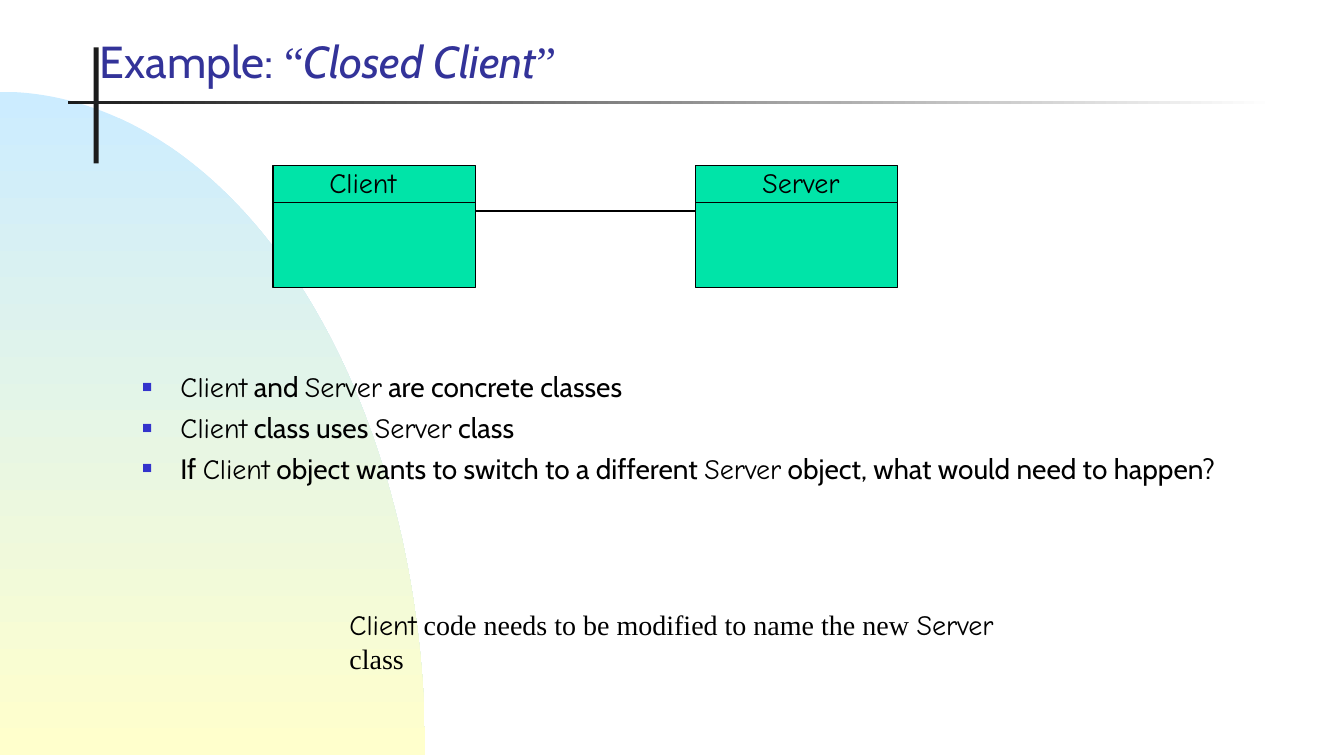
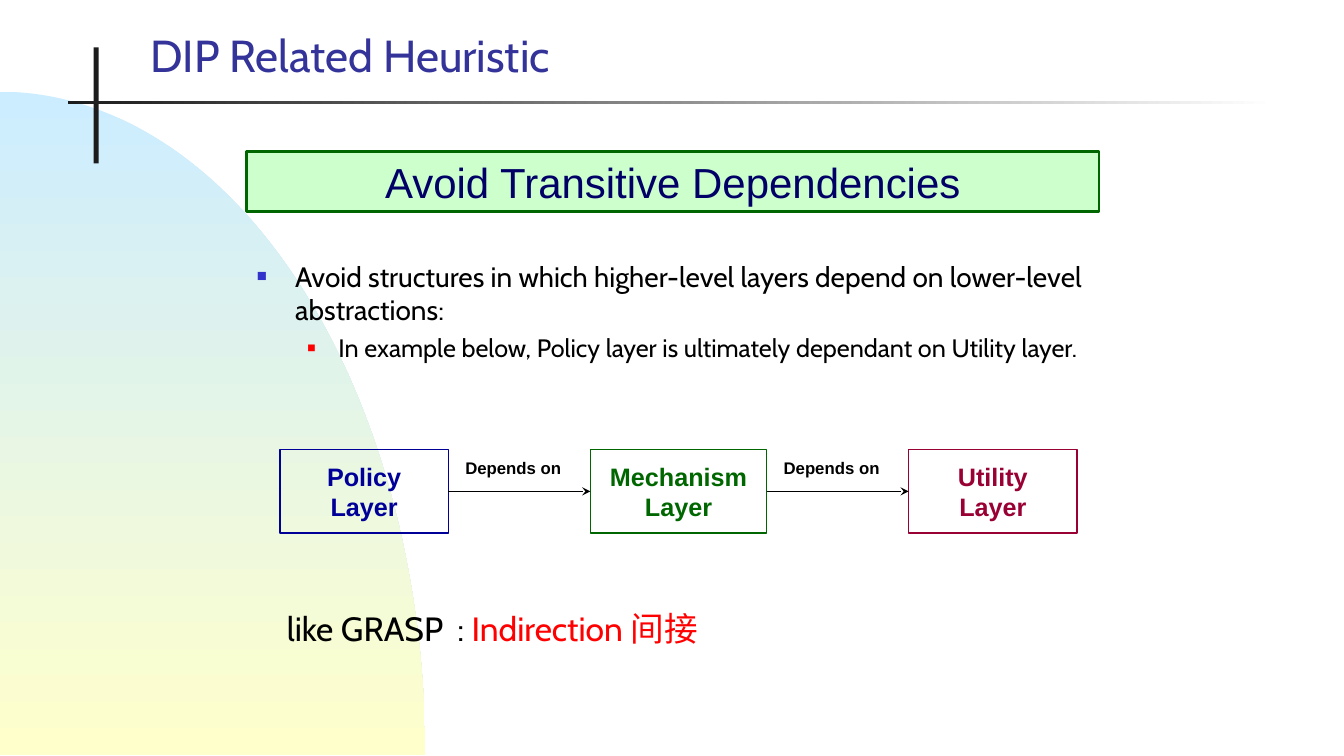
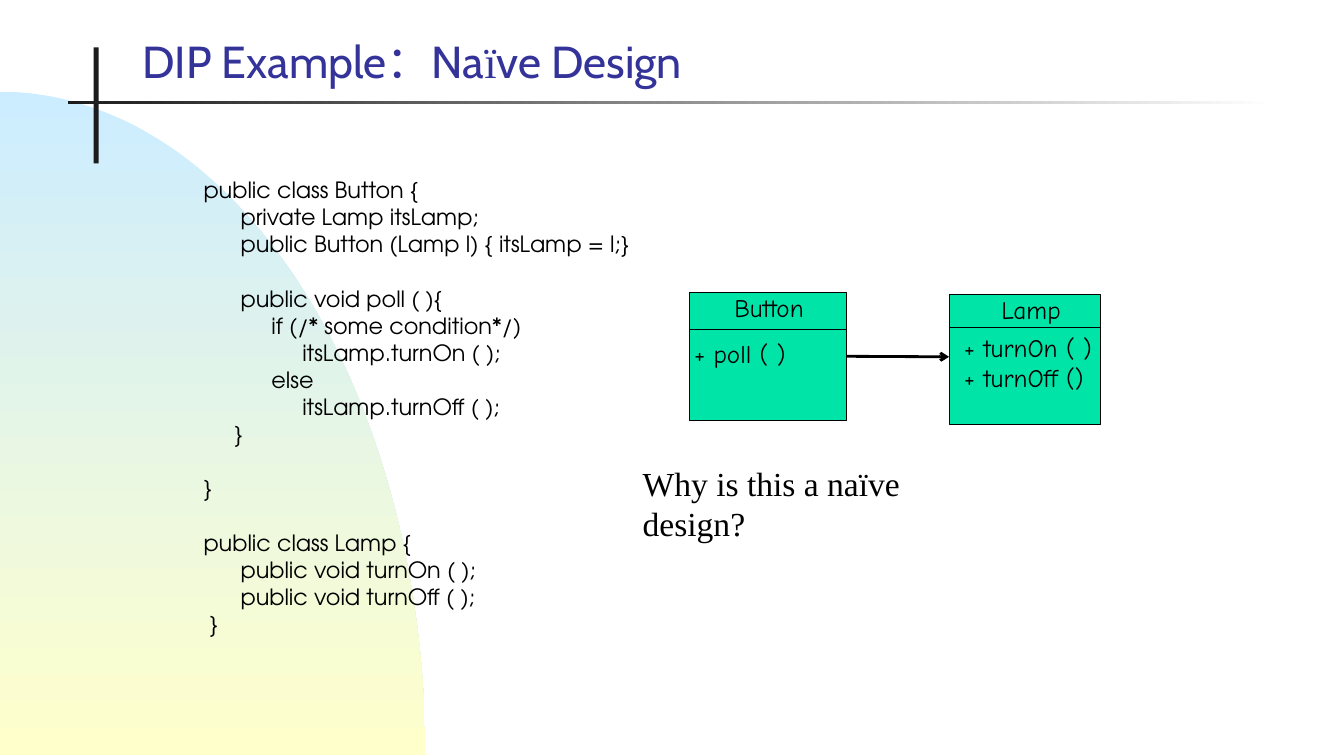
from math import cos, pi, sin

from lxml.etree import SubElement
from pptx import Presentation
from pptx.dml.color import RGBColor
from pptx.enum.shapes import MSO_CONNECTOR as Link, MSO_SHAPE as Preset
from pptx.enum.text import MSO_ANCHOR as Anchor, MSO_AUTO_SIZE as Fit, PP_ALIGN as Align
from pptx.oxml.ns import qn
from pptx.util import Inches, Pt

BLACK = RGBColor(0x00, 0x00, 0x00)
WHITE = RGBColor(0xFF, 0xFF, 0xFF)
CHARCOAL = RGBColor(0x1C, 0x1C, 0x1C)
SKY = RGBColor(0xCC, 0xEC, 0xFF)
CREAM = RGBColor(0xFF, 0xFF, 0xCC)
INDIGO = RGBColor(0x33, 0x33, 0x99)
BLUE = RGBColor(0x33, 0x33, 0xCC)
NAVY = RGBColor(0x00, 0x00, 0x66)
POLICY_BLUE = RGBColor(0x00, 0x00, 0x99)
GREEN = RGBColor(0x00, 0x66, 0x00)
PALE_GREEN = RGBColor(0xCC, 0xFF, 0xCC)
CLASS_GREEN = RGBColor(0x00, 0xE4, 0xA8)
CRIMSON = RGBColor(0x99, 0x00, 0x33)
RED = RGBColor(0xFF, 0x00, 0x00)

SANS, SERIF, HAND = "Cabin", "Times New Roman", "Comic Neue"
CODE, PLAIN = "TeX Gyre Adventor", "Arial"

BULLETS = [
    dict(left=0.38, hang=0.38, color=BLUE, percent=60, size=20, before=5),
    dict(left=0.81, hang=0.31, color=RED, percent=55, size=18, before=4.5),
]


class Deck:
    def __init__(self):
        self.prs = Presentation()
        self.prs.slide_width, self.prs.slide_height = Inches(13.34), Inches(7.5)
        self.layout = self.prs.slide_layouts[1]
        self.slide = None

    def start(self, title, left, width, anchor=Anchor.BOTTOM):
        self.slide = self.prs.slides.add_slide(self.layout)
        if len(self.prs.slides) == 1:
            self.backdrop()
        heading = self.place(self.slide.shapes.title, left, 0.17, width, 0.75)
        heading.vertical_anchor = anchor
        heading.paragraphs[0].alignment = Align.LEFT
        self.fill_text(heading.paragraphs[0], title, 32, SANS, INDIGO)

    def backdrop(self):
        center_y, radius_x, radius_y = 7.49, 4.22, 6.58
        angles = [pi / 2 * step / 90 for step in range(91)]
        arc = [(Inches(radius_x * sin(a)), Inches(center_y - radius_y * cos(a))) for a in angles]
        outline = self.slide.shapes.build_freeform(0, Inches(center_y), scale=1.0)
        outline.add_line_segments(arc, close=True)
        dome = outline.convert_to_shape()
        dome.shadow.inherit = False
        dome.line.fill.background()
        self.gradient(dome, SKY, CREAM, 270)
        post = self.box(0.93, 0.47, 0.05, 1.15, CHARCOAL)
        rule = self.box(0.67, 1, 11.99, 0.03)
        self.gradient(rule, CHARCOAL, WHITE, 0)
        for position, part in enumerate((dome, post, rule), start=2):
            self.layout.shapes.element.insert(position, part.element)

    def gradient(self, shape, first, last, angle):
        shape.fill.gradient()
        shape.fill.gradient_angle = angle
        for stop, color in zip(shape.fill.gradient_stops, (first, last)):
            stop.color.rgb = color

    def place(self, holder, left, top, width, height):
        holder.left, holder.top = Inches(left), Inches(top)
        holder.width, holder.height = Inches(width), Inches(height)
        frame = holder.text_frame
        frame.auto_size = Fit.NONE
        frame.word_wrap = True
        return frame

    def fill_text(self, paragraph, content, size, face, color=BLACK, bold=False):
        parts = [(content, {})] if isinstance(content, str) else content
        paragraph.text = parts[0][0]
        for words, _ in parts[1:]:
            paragraph.add_run().text = words
        for run, (_, style) in zip(paragraph.runs, parts):
            run.font.size = Pt(size)
            run.font.name = style.get("face", face)
            run.font.color.rgb = style.get("color", color)
            run.font.bold = bold
            run.font.italic = style.get("italic", False)

    def body(self, left, top, width, height):
        frame = self.place(self.slide.placeholders[1], left, top, width, height)
        frame.vertical_anchor = Anchor.TOP
        return frame

    def indent(self, paragraph, left, hang):
        props = paragraph._p.get_or_add_pPr()
        props.set("marL", str(Inches(left)))
        props.set("indent", str(-Inches(hang)))
        return props

    def bullets(self, frame, items):
        for index, (level, content) in enumerate(items):
            paragraph = frame.paragraphs[0] if index == 0 else frame.add_paragraph()
            style = BULLETS[level]
            paragraph.level = level
            props = self.indent(paragraph, style["left"], style["hang"])
            tint = SubElement(props, qn("a:buClr"))
            SubElement(tint, qn("a:srgbClr"), val=str(style["color"]))
            SubElement(props, qn("a:buSzPct"), val=str(style["percent"] * 1000))
            SubElement(props, qn("a:buFont"), typeface=PLAIN)
            SubElement(props, qn("a:buChar"), char="■")
            paragraph.space_before = Pt(style["before"] if index else 0)
            self.fill_text(paragraph, content, style["size"], SANS)

    def listing(self, frame, blocks):
        lines = [(line, number == 0) for block in blocks
                 for number, line in enumerate(block.split("\n"))]
        for index, (line, opens_block) in enumerate(lines):
            paragraph = frame.paragraphs[0] if index == 0 else frame.add_paragraph()
            SubElement(self.indent(paragraph, 0, 0), qn("a:buNone"))
            paragraph.line_spacing = 0.8
            paragraph.space_before = Pt(0 if index == 0 else 23.4 if opens_block else 4)
            self.fill_text(paragraph, line, 16, CODE)

    def box(self, left, top, width, height, fill=None, line=None, weight=0.75):
        shape = self.slide.shapes.add_shape(
            Preset.RECTANGLE, Inches(left), Inches(top), Inches(width), Inches(height))
        shape.shadow.inherit = False
        if fill is None:
            shape.fill.background()
        else:
            shape.fill.solid()
            shape.fill.fore_color.rgb = fill
        if line is None:
            shape.line.fill.background()
        else:
            shape.line.color.rgb = line
            shape.line.width = Pt(weight)
        return shape

    def caption(self, shape, text, size, color, bold=False):
        frame = shape.text_frame
        frame.text = text
        frame.vertical_anchor = Anchor.MIDDLE
        for paragraph in frame.paragraphs:
            paragraph.alignment = Align.CENTER
            self.fill_text(paragraph, paragraph.text, size, PLAIN, color, bold)

    def label(self, left, top, width, height, lines, size, face, wrap=False, bold=False):
        area = self.slide.shapes.add_textbox(
            Inches(left), Inches(top), Inches(width), Inches(height))
        frame = area.text_frame
        frame.word_wrap = wrap
        frame.auto_size = Fit.SHAPE_TO_FIT_TEXT
        for index, content in enumerate(lines):
            paragraph = frame.paragraphs[0] if index == 0 else frame.add_paragraph()
            self.fill_text(paragraph, content, size, face, bold=bold)

    def line(self, x1, y1, x2, y2, weight=0.75, head=None, source=None, target=None):
        link = self.slide.shapes.add_connector(
            Link.STRAIGHT, Inches(x1), Inches(y1), Inches(x2), Inches(y2))
        if source is not None:
            link.begin_connect(source, 3)
        if target is not None:
            link.end_connect(target, 1)
        link.line.color.rgb = BLACK
        link.line.width = Pt(weight)
        props = link.element.spPr
        if head:
            SubElement(props.find(qn("a:ln")), qn("a:tailEnd"), type=head)
        SubElement(props, qn("a:effectLst"))

    def class_box(self, name, left, top, width, height, divider, name_left, name_width, size):
        shape = self.box(left, top, width, height, CLASS_GREEN, BLACK)
        self.line(left, divider, left + width, divider)
        self.label(name_left, top - 0.05, name_width, size * 0.022, [name], size, HAND)
        return shape


def hand(text):
    return text, {"face": HAND}


def serif(text):
    return text, {"face": SERIF}


def normal(text):
    return text, {}


def closed_client(deck):
    deck.start([normal("Example: "), serif("“"), ("Closed Client", {"italic": True}),
                serif("”")], 0.89, 9.44)
    deck.bullets(deck.body(1.31, 3.62, 11.57, 3.47), [
        (0, [hand("Client"), normal(" and "), hand("Server"), normal(" are concrete classes")]),
        (0, [hand("Client"), normal(" class uses "), hand("Server"), normal(" class")]),
        (0, [normal("If "), hand("Client"), normal(" object wants to switch to a different "),
             hand("Server"), normal(" object, what would need to happen?")]),
    ])
    deck.class_box("Client", 2.71, 1.64, 2.01, 1.21, 2.01, 3.17, 0.87, 20)
    deck.class_box("Server", 6.9, 1.64, 2.01, 1.21, 2.01, 7.47, 0.97, 20)
    deck.line(4.72, 2.09, 6.9, 2.09, 1.5)
    answer = [hand("Client"), normal(" code needs to be modified to name the new "),
              hand("Server"), normal(" class")]
    deck.label(3.37, 5.98, 7, 0.77, [answer], 20, SERIF, wrap=True)


def related_heuristic(deck):
    deck.start("DIP Related Heuristic", 1.39, 7.45, Anchor.MIDDLE)
    deck.bullets(deck.body(2.45, 2.52, 8.83, 1.86), [
        (0, "Avoid structures in which higher-level layers depend on lower-level abstractions:"),
        (1, "In example below, Policy layer is ultimately dependant on Utility layer."),
    ])
    banner = deck.box(2.45, 1.5, 8.46, 0.6, PALE_GREEN, GREEN, 2)
    deck.caption(banner, "Avoid Transitive Dependencies", 30, NAVY)

    left, top, height, gap = 2.78, 4.46, 0.83, 1.41
    previous = None
    for name, width, color in (("Policy", 1.67, POLICY_BLUE), ("Mechanism", 1.75, GREEN),
                               ("Utility", 1.67, CRIMSON)):
        layer = deck.box(left, top, width, height, line=color, weight=1)
        layer.text_frame.word_wrap = False
        deck.caption(layer, f"{name}\nLayer", 18, color, bold=True)
        if previous is not None:
            middle = top + height / 2
            deck.line(left - gap, middle, left, middle, 1, "stealth", previous, layer)
            deck.label(left - gap + 0.07, 4.49, 1.16, 0.3, ["Depends on"], 12, PLAIN, bold=True)
        previous = layer
        left += width + gap

    deck.label(2.75, 5.98, 1.87, 0.5, ["like GRASP"], 24, SANS)
    pattern = [normal(": "), ("Indirection 间接", {"color": RED})]
    deck.label(4.44, 5.98, 2.92, 0.5, [pattern], 24, SANS)


def naive_design(deck):
    deck.start([normal("DIP Example：Na"), serif("ï"), normal("ve Design")], 1.31, 9.02)
    deck.listing(deck.body(1.92, 1.75, 8.42, 4.92), [
        """public class Button {
      private Lamp itsLamp;
      public Button (Lamp l) { itsLamp = l;}""",
        """      public void poll ( ){
           if (/* some condition*/)
                itsLamp.turnOn ( );
           else
                itsLamp.turnOff ( );
     }""",
        "}",
        """public class Lamp {
      public void turnOn ( );
      public void turnOff ( );
 }""",
    ])
    button = deck.class_box("Button", 6.84, 2.9, 1.56, 1.27, 3.27, 7.19, 0.89, 18)
    deck.class_box("Lamp", 9.42, 2.92, 1.5, 1.29, 3.25, 9.84, 0.79, 18)
    deck.label(6.79, 3.31, 1.11, 0.4, ["+ poll ( )"], 18, HAND)
    deck.label(9.47, 3.25, 1.47, 0.7, ["+ turnOn ( )", "+ turnOff ()"], 18, HAND)
    deck.line(8.4, 3.54, 9.42, 3.54, 2, "arrow", source=button)
    deck.label(6.28, 4.54, 3.85, 0.5, ["Why is this a naïve design?"], 24, SERIF)


def main():
    deck = Deck()
    for build in (closed_client, related_heuristic, naive_design):
        build(deck)
    deck.prs.save("out.pptx")


if __name__ == "__main__":
    main()
